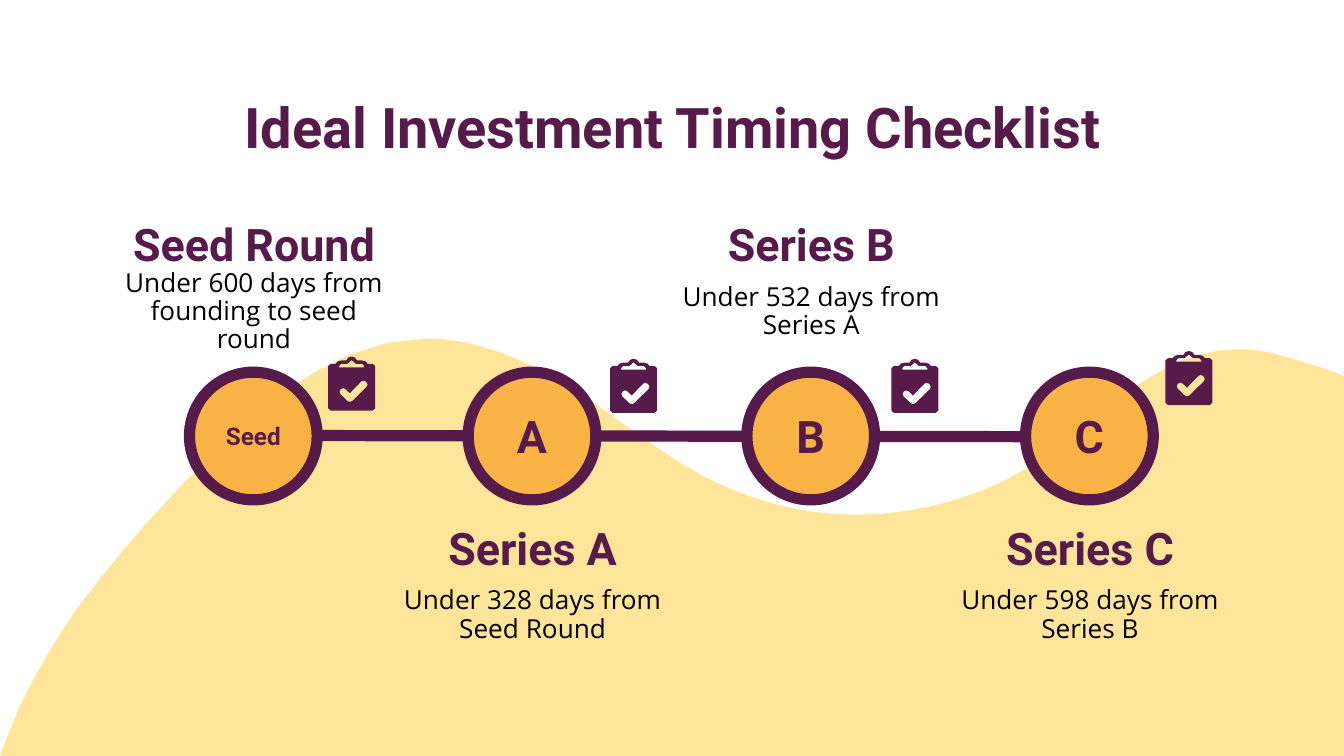
from lxml.etree import SubElement
from pptx import Presentation
from pptx.dml.color import RGBColor
from pptx.enum.shapes import MSO_CONNECTOR as Connector, MSO_SHAPE as Preset
from pptx.enum.text import MSO_ANCHOR as Anchor, MSO_AUTO_SIZE as AutoSize, PP_ALIGN as Align
from pptx.oxml.ns import qn
from pptx.util import Pt

PLUM, ORANGE, CREAM, BLACK = "561A4B", "F9B345", "FFE599", "000000"
STAGE_STEP = 149.3
LABEL_LEFT, LABEL_WIDTH = 56.9, 158.4
CIRCLE_LEFT, CIRCLE_TOP, CIRCLE_SIZE = 101.5, 199.4, 68.4
UPPER_ROW, LOWER_ROW = 113.8, 276.5
CLIPBOARD_WIDTH = 25.2

STAGES = [
    ("Seed", 13, "Seed Round", "Under 600 days from founding to seed round", UPPER_ROW, (175.8, 191)),
    ("A", 24, "Series A", "Under 328 days from Seed Round", LOWER_ROW, (326.8, 192.2)),
    ("B", 24, "Series B", "Under 532 days from Series A", UPPER_ROW, (477.5, 192.2)),
    ("C", 24, "Series C", "Under 598 days from Series B", LOWER_ROW, (624.3, 188)),
]

WAVE = [
    (722.2, 405.4), (721.4, 203),
    (723.6, 200.9, 687.6, 190.8, 684.7, 190.1), (677.5, 187.9, 670.3, 187.2, 663.8, 187.2),
    (651.6, 187.2, 640.1, 190.1, 628.6, 195.1), (594, 211.7, 572.4, 241.2, 537.8, 257.8),
    (513.4, 269.3, 486.7, 275.8, 459.4, 275.8), (436.3, 275.8, 413.3, 271.4, 391.7, 262.1),
    (363.6, 250.6, 342.7, 232.6, 318.2, 216), (295.2, 199.4, 265, 183.6, 234.7, 181.4),
    (229, 181.4), (184.3, 181.4, 149, 211, 119.5, 237.6),
    (90.7, 265.7, 63.4, 295.9, 40.3, 327.6), (28.8, 344.2, 19.4, 360.7, 10.8, 378),
    (7.2, 385.9, 0, 405.4, 0, 405.4),
]
BOARD_HALF = [
    (12.6, 0), (11.2, 0, 10.1, 0.9, 9.7, 2.1), (7.2, 2.1),
    (5.6, 2.1, 4.4, 2.8, 4, 3.9), (1.4, 3.9), (0, 5.1), (0, 27.7), (1.4, 29),
]
CLIP_HALF = [
    (12.6, 1.9), (11.4, 3), (10.3, 3.9), (7, 3.9), (5.9, 5.1), (5.9, 5.8),
]
TICK = [
    (18.9, 12.9), (20.2, 13.4), (20.6, 13.8), (21.3, 14.5, 21.3, 15.6, 20.6, 16.3),
    (13, 23.8), (12.2, 24.6, 11.1, 24.6, 10.3, 23.8),
    (6.6, 20.2), (5.9, 19.5, 5.9, 18.4, 6.6, 17.7), (6.8, 17.5),
    (7.5, 16.8, 8.6, 16.8, 9.3, 17.5), (11.6, 19.7), (17.7, 13.4),
]


def color(hex_string):
    """Turn a hex string into a colour."""
    return RGBColor.from_string(hex_string)


def trace(steps, samples=2):
    """Follow corners (x, y) and cubic curves (two controls and an end) as points."""
    points = []
    for step in steps:
        if len(step) == 2:
            points.append(step)
            continue
        start, knots = points[-1], (step[:2], step[2:4], step[4:])
        for i in range(1, samples + 1):
            t = i / samples
            weights = ((1 - t) ** 3, 3 * t * (1 - t) ** 2, 3 * t * t * (1 - t), t ** 3)
            points.append(tuple(
                sum(w * knot[axis] for w, knot in zip(weights, (start, *knots))) for axis in (0, 1)
            ))
    return points


def mirror(half):
    """Complete a left half outline, starting on the axis, with its reflection."""
    return half + [(CLIPBOARD_WIDTH - x, y) for x, y in reversed(half[1:])]


def add_outline(slide, contours, fill, left=0, top=0):
    """Draw closed contours as one filled freeform."""
    contours = [[(Pt(left + x), Pt(top + y)) for x, y in contour] for contour in contours]
    builder = slide.shapes.build_freeform(*contours[0][0])
    builder.add_line_segments(contours[0][1:])
    for contour in contours[1:]:
        builder.move_to(*contour[0])
        builder.add_line_segments(contour[1:])
    outline = builder.convert_to_shape()
    outline.shadow.inherit = False
    outline.fill.solid()
    outline.fill.fore_color.rgb = color(fill)
    outline.line.fill.background()


def write(frame, text, size, font="Roboto", ink=PLUM, bold=True, anchor=Anchor.MIDDLE, spacing=None):
    """Set centred text with even insets."""
    frame.word_wrap = True
    frame.auto_size = AutoSize.NONE
    frame.vertical_anchor = anchor
    frame.margin_left = frame.margin_right = frame.margin_top = frame.margin_bottom = Pt(7.2)
    paragraph = frame.paragraphs[0]
    paragraph.text = text
    paragraph.alignment = Align.CENTER
    paragraph.line_spacing = spacing
    paragraph.font.name, paragraph.font.size, paragraph.font.bold = font, Pt(size), bold
    paragraph.font.color.rgb = color(ink)


def set_title(slide, text):
    """Place the slide title."""
    title = slide.shapes.title
    title.left, title.top, title.width, title.height = Pt(56.9), Pt(42.5), Pt(607), Pt(37.4)
    write(title.text_frame, text, 30, anchor=Anchor.TOP)


def add_label(slide, left, top, heading, detail):
    """Add a stage heading with its detail below."""
    heading_box = slide.shapes.add_textbox(Pt(left), Pt(top), Pt(LABEL_WIDTH), Pt(33.8))
    write(heading_box.text_frame, heading, 24)
    detail_box = slide.shapes.add_textbox(Pt(left), Pt(top + 24.5), Pt(LABEL_WIDTH), Pt(57.6))
    write(detail_box.text_frame, detail, 14, "Open Sans", BLACK, False, spacing=0.9)


def add_timeline(slide):
    """Draw the line that joins the stages."""
    timeline = slide.shapes.add_connector(Connector.STRAIGHT, Pt(133.2), Pt(233.3), Pt(591.8), Pt(234))
    timeline.line.color.rgb = color(PLUM)
    timeline.line.width = Pt(6)
    SubElement(timeline._element.spPr, qn("a:effectLst"))


def add_circle(slide, left, text, size):
    """Add a stage marker on the timeline."""
    circle = slide.shapes.add_shape(Preset.OVAL, Pt(left), Pt(CIRCLE_TOP), Pt(CIRCLE_SIZE), Pt(CIRCLE_SIZE))
    circle.shadow.inherit = False
    circle.fill.solid()
    circle.fill.fore_color.rgb = color(ORANGE)
    circle.line.color.rgb = color(PLUM)
    circle.line.width = Pt(6)
    write(circle.text_frame, text, size)


def add_clipboard(slide, left, top):
    """Add a clipboard with a cut-out clip and tick."""
    contours = [mirror(trace(BOARD_HALF)), mirror(trace(CLIP_HALF)), trace(TICK)]
    add_outline(slide, contours, PLUM, left, top)


def main():
    """Build the slide and save it."""
    deck = Presentation()
    deck.slide_width, deck.slide_height = Pt(720), Pt(405)
    slide = deck.slides.add_slide(deck.slide_layouts[5])
    add_outline(slide, [trace(WAVE, 6)], CREAM)
    set_title(slide, "Ideal Investment Timing Checklist")
    add_timeline(slide)
    for i, (marker, size, heading, detail, row, clipboard) in enumerate(STAGES):
        offset = i * STAGE_STEP
        add_label(slide, LABEL_LEFT + offset, row, heading, detail)
        add_circle(slide, CIRCLE_LEFT + offset, marker, size)
        add_clipboard(slide, *clipboard)
    deck.save("out.pptx")


if __name__ == "__main__":
    main()
